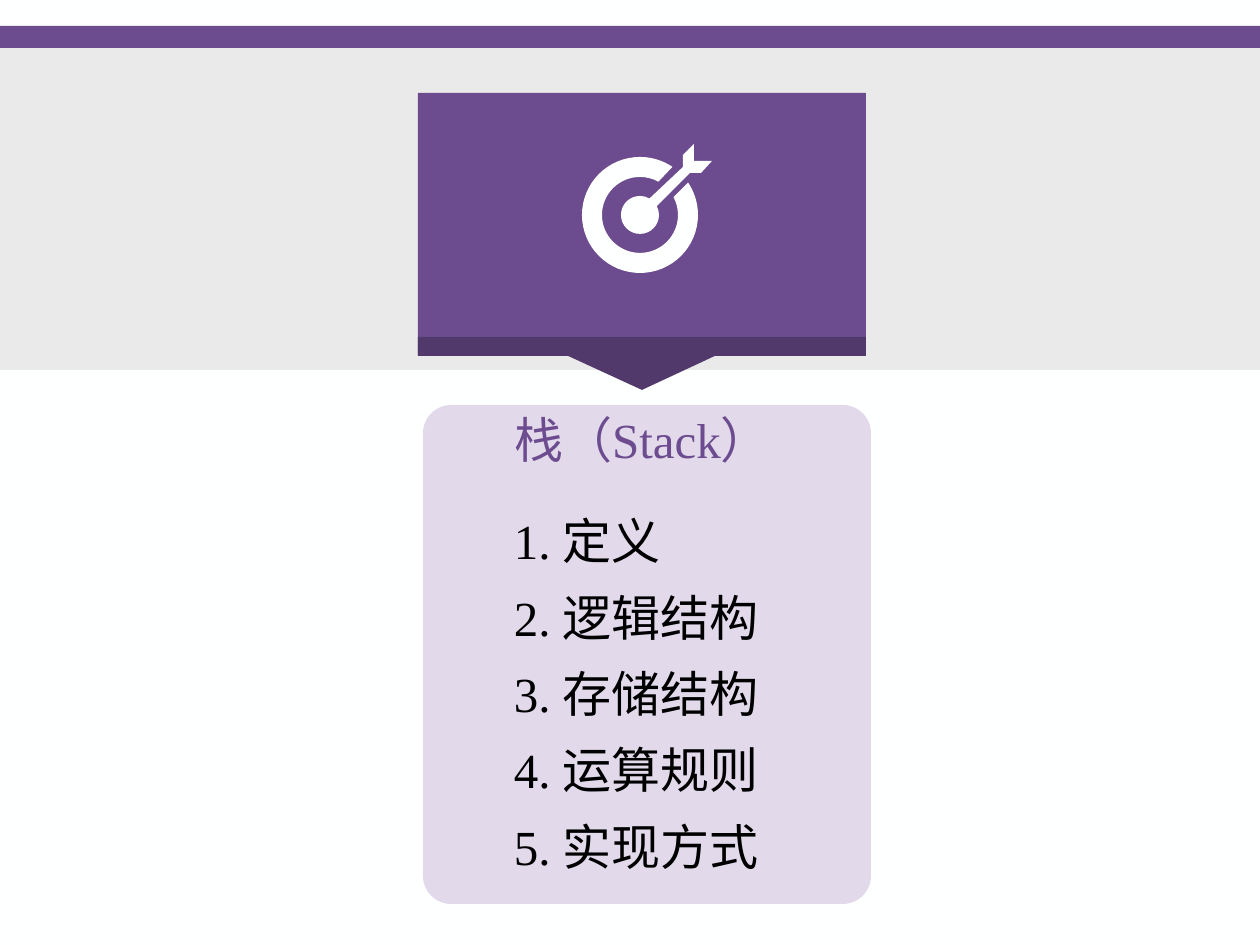
from dataclasses import dataclass
from itertools import pairwise
from math import cos, radians, sin, tan

from lxml import etree
from pptx import Presentation
from pptx.dml.color import RGBColor
from pptx.enum.shapes import MSO_SHAPE
from pptx.enum.text import MSO_ANCHOR, PP_ALIGN
from pptx.oxml.ns import qn
from pptx.util import Emu, Pt

EMU_PER_PX = 914400 / 126
RECTANGLE = MSO_SHAPE.RECTANGLE
ROUNDED = MSO_SHAPE.ROUNDED_RECTANGLE
TOP = MSO_ANCHOR.TOP
LEFT, CENTER = PP_ALIGN.LEFT, PP_ALIGN.CENTER

Point = tuple[float, float]


@dataclass(frozen=True)
class Theme:
    white: str = "FEFFFF"
    purple: str = "6C4C8F"
    dark_purple: str = "51396B"
    lilac: str = "E2D9EB"
    grey: str = "EAEAEA"
    black: str = "000000"
    font: str = "Times New Roman"
    text_size: int = 28
    list_spacing: float = 1.3


@dataclass(frozen=True)
class Panel:
    left: int
    top: int
    width: int
    height: int
    color: str
    kind: MSO_SHAPE = RECTANGLE
    corner: float = 0


@dataclass(frozen=True)
class TextBlock:
    left: int
    top: int
    width: int
    height: int
    lines: tuple[str, ...]
    color: str
    align: PP_ALIGN = LEFT
    inset: tuple[int, int] = (0, 0)
    hanging: int = 0
    spacing: float = 1


THEME = Theme()
TOPICS = ("定义", "逻辑结构", "存储结构", "运算规则", "实现方式")

PANELS = (
    Panel(0, 26, 1260, 75, THEME.purple),
    Panel(0, 48, 1261, 322, THEME.grey),
    Panel(423, 405, 448, 499, THEME.lilac, ROUNDED, 0.063),
    Panel(418, 93, 448, 262, THEME.purple),
)
TEXT_BLOCKS = (
    TextBlock(
        501, 487, 291, 363,
        tuple(f"{number}. {topic}" for number, topic in enumerate(TOPICS, 1)),
        THEME.black, inset=(13, 6), hanging=48, spacing=THEME.list_spacing,
    ),
    TextBlock(492, 409, 300, 58, ("栈（Stack）",), THEME.purple, CENTER),
)
POINTER = [(418, 337), (866, 337), (866, 356), (715, 356), (642, 390), (568, 356), (418, 356)]
TARGET_CENTER = (640, 215)
ARROW = [(683, 167), (683, 155), (694, 144), (694, 161), (712, 161), (701, 173), (690, 173)]


def px(length: float) -> Emu:
    return Emu(round(length * EMU_PER_PX))


def rgb(color: str) -> RGBColor:
    return RGBColor.from_string(color)


def paint(shape, color: str) -> None:
    shape.shadow.inherit = False
    shape.fill.solid()
    shape.fill.fore_color.rgb = rgb(color)
    shape.line.fill.background()


def add_panel(page, panel: Panel) -> None:
    bounds = map(px, (panel.left, panel.top, panel.width, panel.height))
    shape = page.shapes.add_shape(panel.kind, *bounds)
    if panel.kind == ROUNDED:
        shape.adjustments[0] = panel.corner
    paint(shape, panel.color)


def add_outline(page, contours: list[list[Point]], color: str):
    scaled = [[(px(x), px(y)) for x, y in contour] for contour in contours]
    builder = page.shapes.build_freeform(*scaled[0][0])
    for index, contour in enumerate(scaled):
        if index:
            builder.move_to(*contour[0])
        builder.add_line_segments(contour[1:], close=True)
    shape = builder.convert_to_shape()
    paint(shape, color)
    return shape


def bend_outline(shape) -> None:
    segments = list(shape._element.iter(qn("a:lnTo")))
    for first, second, third in zip(*[iter(segments)] * 3):
        curve = etree.Element(qn("a:cubicBezTo"))
        first.addprevious(curve)
        for segment in (first, second, third):
            curve.append(segment[0])
            segment.getparent().remove(segment)


def arc(radius: float, start: int, end: int) -> list[Point]:
    center_x, center_y = TARGET_CENTER
    quarters = [a for a in range(-360, 361, 90) if min(start, end) < a < max(start, end)]
    stops = sorted([start, *quarters, end], reverse=start > end)

    def at(angle: float, slide: float = 0) -> Point:
        a = radians(angle)
        return (
            center_x + radius * (cos(a) - slide * sin(a)),
            center_y + radius * (sin(a) + slide * cos(a)),
        )

    points = [at(start)]
    for here, there in pairwise(stops):
        reach = 4 / 3 * tan(radians(there - here) / 4)
        points += [at(here, reach), at(there, -reach), at(there)]
    return points


def straight(points: list[Point]) -> list[Point]:
    return [point for point in points for _ in range(3)]


def add_target(page) -> None:
    inner = arc(38, 299, -28)
    ring = arc(58, -34, 304) + straight(inner[:1]) + inner[1:]
    dart = arc(19, -28, 300) + straight(ARROW)
    bend_outline(add_outline(page, [ring, dart], THEME.white))


def add_text(page, block: TextBlock) -> None:
    bounds = map(px, (block.left, block.top, block.width, block.height))
    box = page.shapes.add_textbox(*bounds)
    frame = box.text_frame
    frame.text = "\n".join(block.lines)
    frame.word_wrap = True
    frame.vertical_anchor = TOP
    frame.margin_left = frame.margin_right = px(block.inset[0])
    frame.margin_top = frame.margin_bottom = px(block.inset[1])
    for para in frame.paragraphs:
        para.alignment = block.align
        para.line_spacing = block.spacing
        if block.hanging:
            properties = para._p.get_or_add_pPr()
            properties.set("marL", str(px(block.hanging)))
            properties.set("indent", str(-px(block.hanging)))
        for span in para.runs:
            span.font.name = THEME.font
            span.font.size = Pt(THEME.text_size)
            span.font.color.rgb = rgb(block.color)


def main() -> None:
    deck = Presentation()
    deck.slide_width, deck.slide_height = px(1260), px(945)
    page = deck.slides.add_slide(deck.slide_layouts[6])
    page.background.fill.solid()
    page.background.fill.fore_color.rgb = rgb(THEME.white)

    for panel in PANELS:
        add_panel(page, panel)
    add_outline(page, [POINTER], THEME.dark_purple)
    add_target(page)
    for block in TEXT_BLOCKS:
        add_text(page, block)

    deck.save("out.pptx")


if __name__ == "__main__":
    main()
